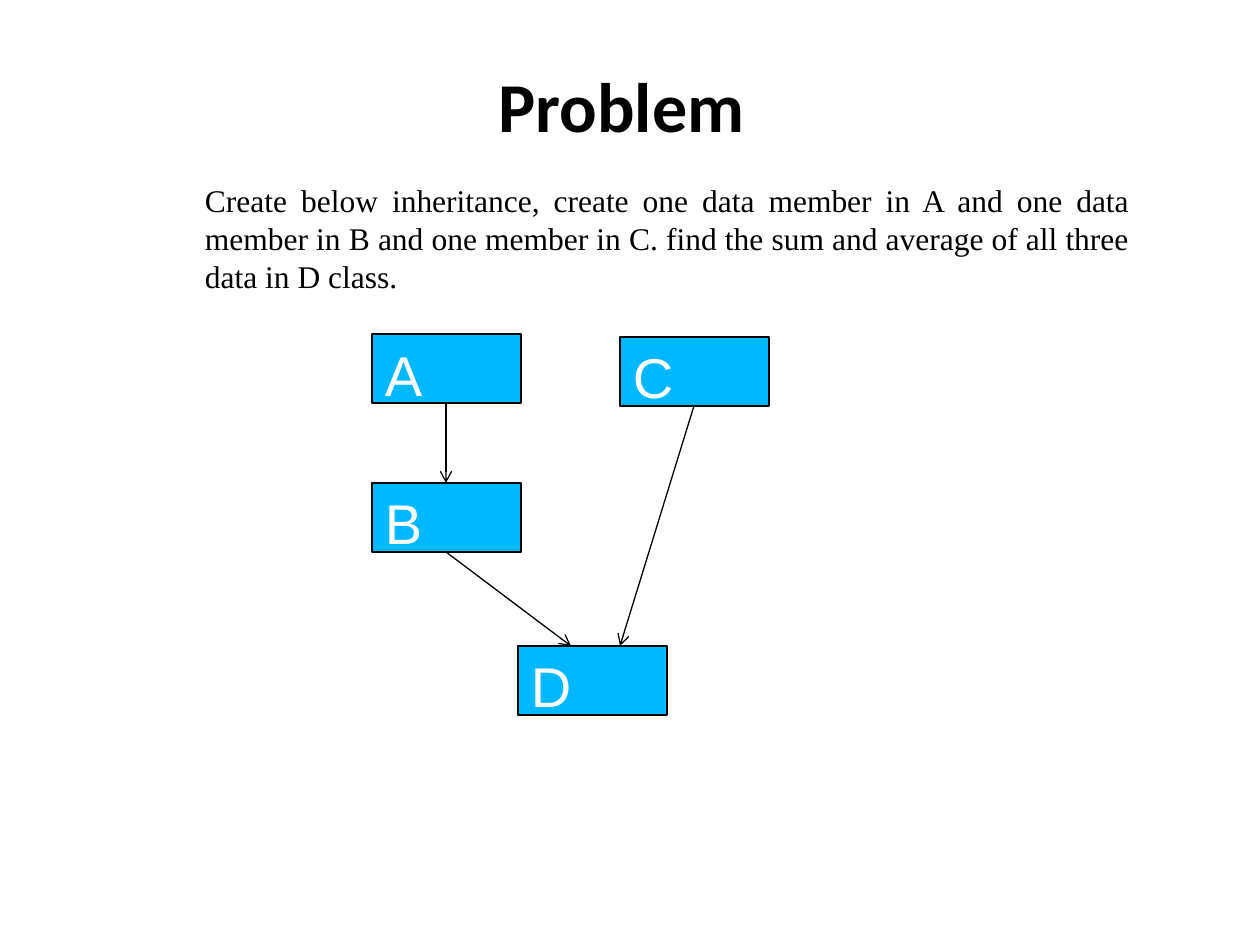
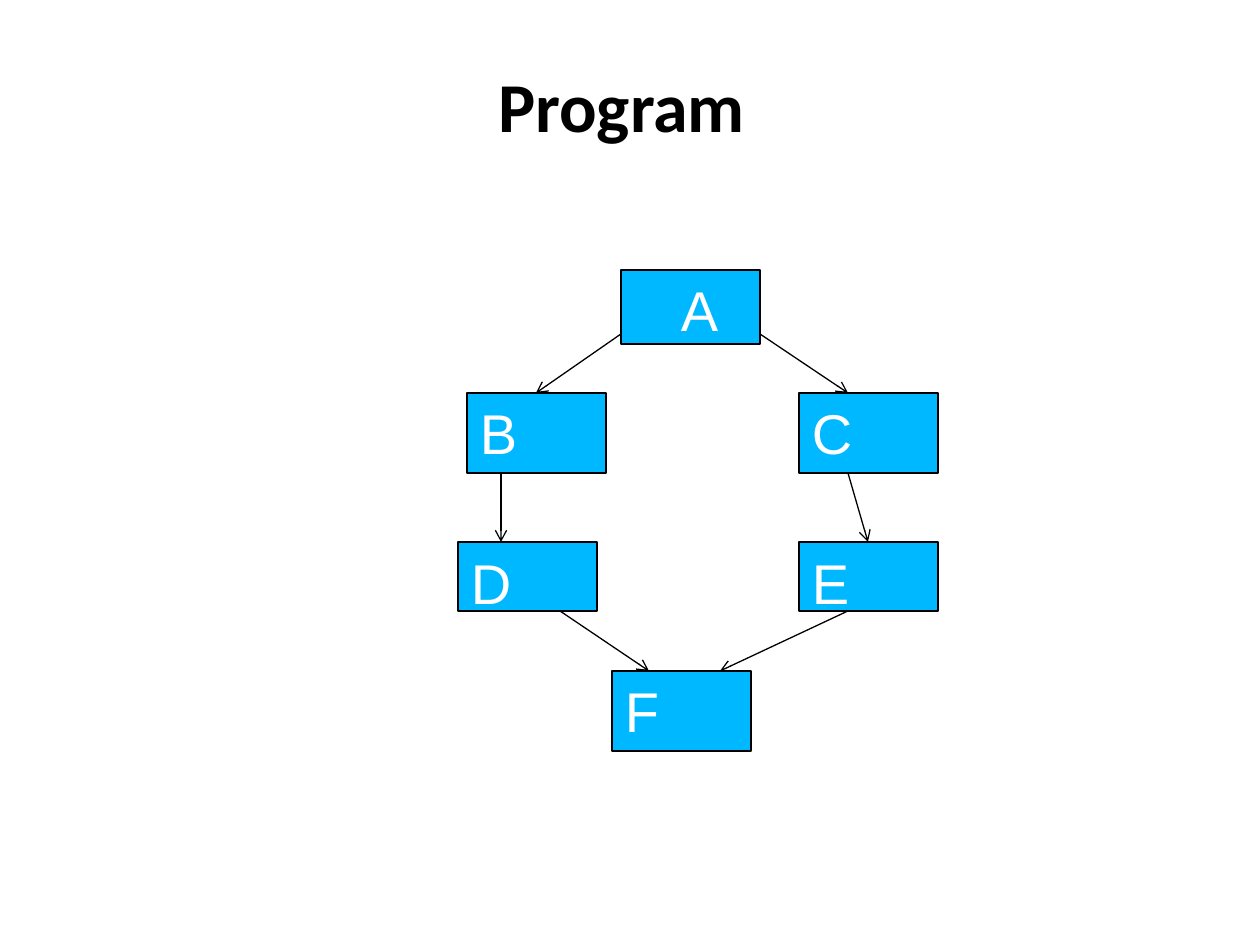
from lxml.etree import SubElement
from pptx import Presentation
from pptx.dml.color import RGBColor
from pptx.enum.shapes import MSO_CONNECTOR, MSO_SHAPE
from pptx.enum.text import MSO_ANCHOR, PP_ALIGN
from pptx.oxml.ns import qn
from pptx.util import Emu, Pt

PX = 914400 // 126
PAGE_SIZE = (1260, 945)
TITLE_BOX = (63, 38, 1117, 141)
COLOURS = {"ink": "000000", "node": "00B8FF", "label": "FFFFFF", "page": "FFFFFF"}


def px(length):
    return Emu(length * PX)


def colour(name):
    return RGBColor.from_string(COLOURS[name])


def write_text(shape, text, font="Arial", size=32, ink="label", bold=False,
               align=PP_ALIGN.LEFT, anchor=MSO_ANCHOR.TOP, spacing=1.0,
               insets=(13, 6, 13, 6), indent=0):
    frame = shape.text_frame
    frame.word_wrap = True
    frame.vertical_anchor = anchor
    frame.margin_left, frame.margin_top, frame.margin_right, frame.margin_bottom = map(px, insets)
    para = frame.paragraphs[0]
    para.alignment = align
    para.line_spacing = spacing
    if indent:
        properties = para._p.get_or_add_pPr()
        properties.set("marL", str(px(indent)))
        properties.set("indent", "0")
    span = para.add_run()
    span.text = text
    span.font.name = font
    span.font.size = Pt(size)
    span.font.bold = bold
    span.font.color.rgb = colour(ink)


def add_text(page, box, text, **style):
    write_text(page.shapes.add_textbox(*map(px, box)), text, **style)


def add_page(deck, title):
    page = deck.slides.add_slide(deck.slide_layouts[6])
    page.background.fill.solid()
    page.background.fill.fore_color.rgb = colour("page")
    add_text(page, TITLE_BOX, title, font="Calibri", size=40, ink="ink", bold=True,
             align=PP_ALIGN.CENTER, anchor=MSO_ANCHOR.MIDDLE, spacing=0.97)
    return page


def add_node(page, box, label, indent=0):
    node = page.shapes.add_shape(MSO_SHAPE.RECTANGLE, *map(px, box))
    node.shadow.inherit = False
    node.fill.solid()
    node.fill.fore_color.rgb = colour("node")
    node.line.color.rgb = colour("ink")
    node.line.width = Pt(0.75)
    write_text(node, label, indent=indent)


def add_arrow(page, start, end):
    arrow = page.shapes.add_connector(MSO_CONNECTOR.STRAIGHT, *map(px, start + end))
    arrow.line.color.rgb = colour("ink")
    arrow.line.width = Pt(0.75)
    SubElement(arrow.line._get_or_add_ln(), qn("a:tailEnd"), type="arrow")
    SubElement(arrow._element.spPr, qn("a:effectLst"))


def add_diagram(page, box, node_width, nodes, arrows, indents):
    left, top = box
    for label, (x, y, height) in nodes.items():
        add_node(page, (left + x, top + y, node_width, height), label, indents.get(label, 0))
    for source, leave, target, enter in arrows:
        source_x, source_y, source_height = nodes[source]
        target_x, target_y, _ = nodes[target]
        leave_x, rise = leave
        add_arrow(page, (left + source_x + leave_x, top + source_y + source_height - rise),
                  (left + target_x + enter, top + target_y))


def build_problem(deck):
    page = add_page(deck, "Problem")
    width, height = 149, 69
    middle = width // 2
    nodes = {"A": (0, 0, height), "C": (248, 3, height),
             "B": (0, 149, height), "D": (146, 312, height)}
    arrows = [("A", (middle, 0), "B", middle),
              ("C", (middle, 0), "D", 102),
              ("B", (middle, 0), "D", 53)]
    add_diagram(page, (372, 334), width, nodes, arrows, {})
    add_text(page, (192, 175, 951, 127),
             "Create below inheritance, create one data member in A and one data member in B "
             "and one member in C. find the sum and average of all three data in D class.",
             font="Times New Roman", size=18, ink="ink", align=PP_ALIGN.JUSTIFY)


def build_program(deck):
    page = add_page(deck, "Program")
    width, tall, low = 139, 80, 69
    nodes = {"A": (163, 0, 74), "B": (9, 123, tall), "C": (341, 123, tall),
             "D": (0, 272, low), "E": (341, 272, low), "F": (154, 401, tall)}
    arrows = [("A", (width, 10), "C", 49),
              ("B", (34, 0), "D", 43),
              ("C", (49, 0), "E", width // 2),
              ("D", (102, 0), "F", 37),
              ("E", (49, 0), "F", 108),
              ("A", (0, 10), "B", width // 2)]
    add_diagram(page, (458, 270), width, nodes, arrows, {"A": 47})


def main():
    deck = Presentation()
    deck.slide_width, deck.slide_height = map(px, PAGE_SIZE)
    build_problem(deck)
    build_program(deck)
    deck.save("out.pptx")


if __name__ == "__main__":
    main()
